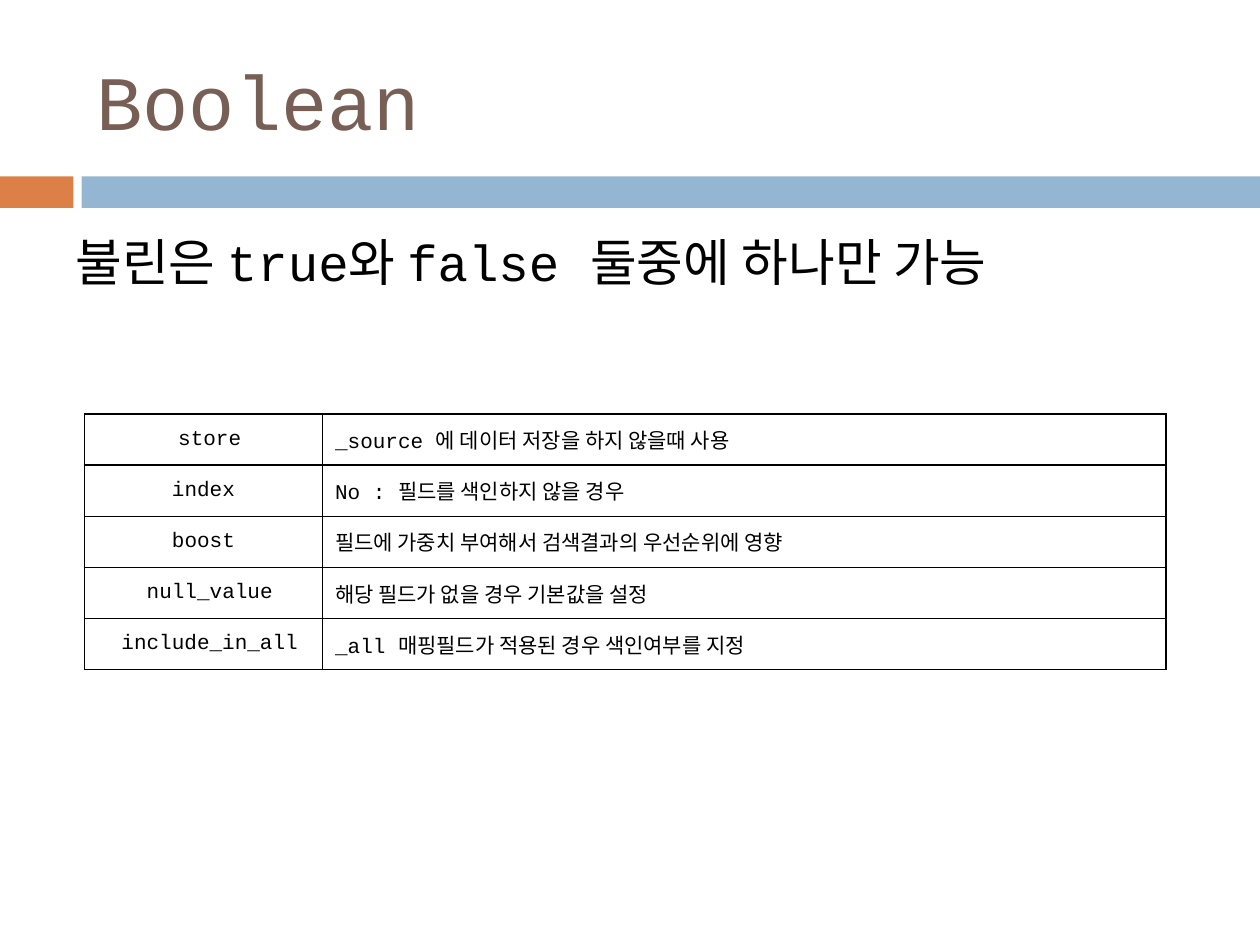
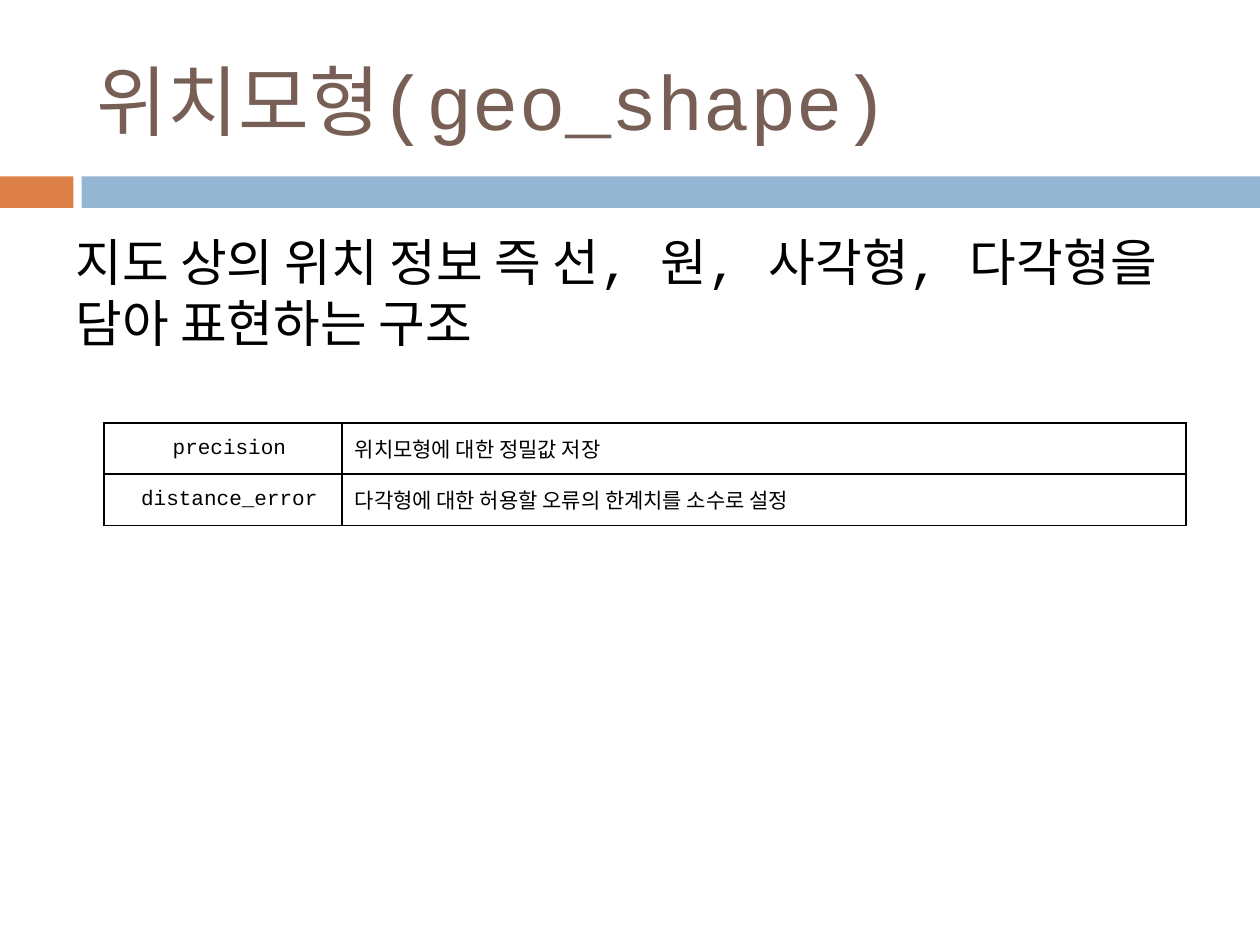
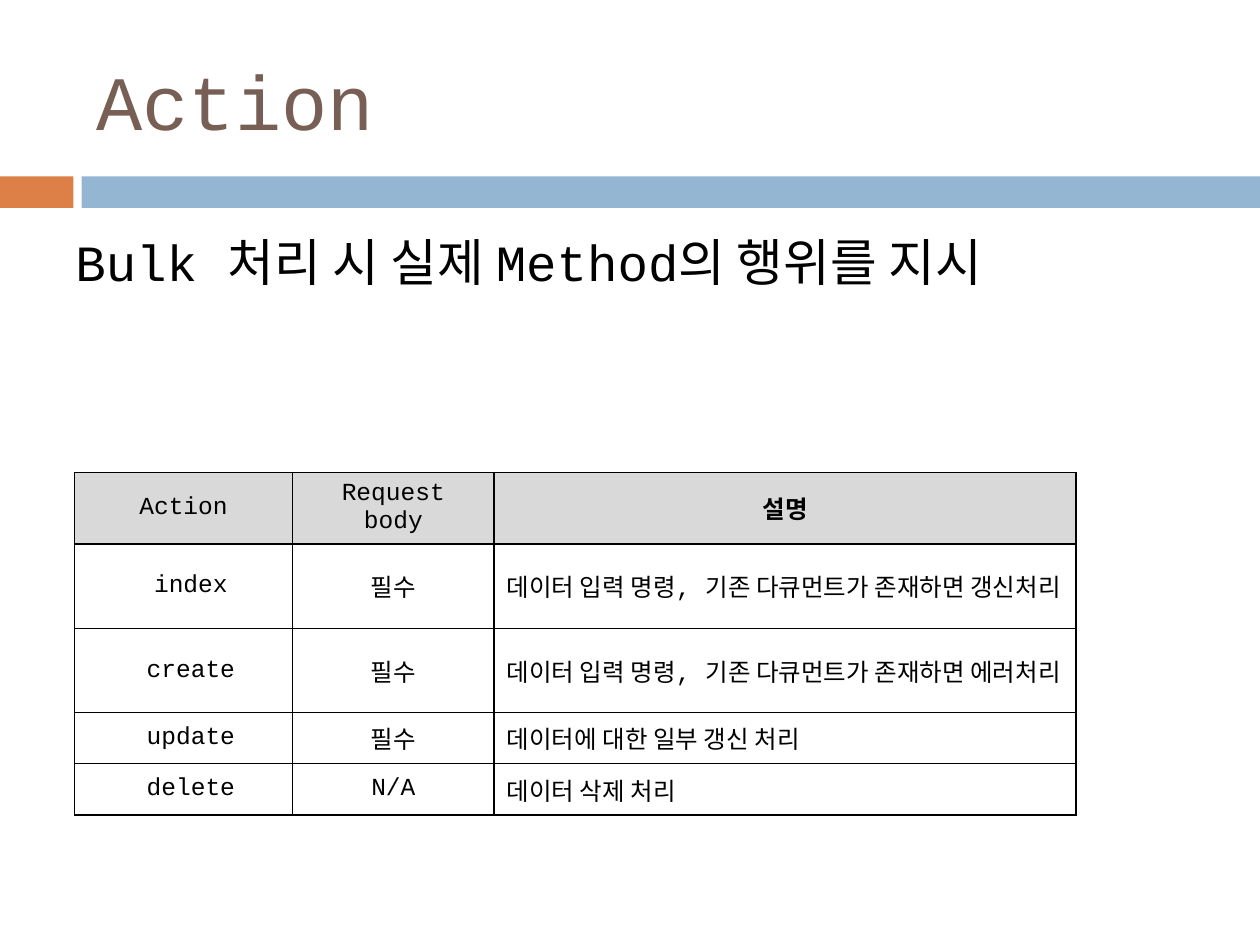
from pptx import Presentation
from pptx.dml.color import RGBColor
from pptx.enum.shapes import MSO_SHAPE
from pptx.enum.text import MSO_ANCHOR, PP_ALIGN
from pptx.oxml.ns import qn
from pptx.util import Pt
from lxml.etree import SubElement

ORANGE = RGBColor(0xDD, 0x80, 0x47)
BLUE = RGBColor(0x94, 0xB6, 0xD2)
BROWN = RGBColor(0x77, 0x5F, 0x55)
BLACK = RGBColor(0, 0, 0)
GRAY = RGBColor(0xD9, 0xD9, 0xD9)
FONT = "Courier New"
ROW = 29.2
HEAD = 39
TALL = 48.2
PAIR = (136.1, 482.1)
TRIO = (124.6, 115.2, 332.6)

BOOL = [
    (" store", "_source 에 데이터 저장을 하지 않을때 사용"),
    ("index", "No : 필드를 색인하지 않을 경우"),
    ("boost", "필드에 가중치 부여해서 검색결과의 우선순위에 영향"),
    (" null_value", "해당 필드가 없을 경우 기본값을 설정"),
    (" include_in_all", "_all 매핑필드가 적용된 경우 색인여부를 지정"),
]
GEO = [
    (" precision", "위치모형에 대한 정밀값 저장"),
    (" distance_error", "다각형에 대한 허용할 오류의 한계치를 소수로 설정"),
]
ACTION = [
    ("Action", "Request body", "설명"),
    (" index", "필수", "데이터 입력 명령, 기존 다큐먼트가 존재하면 갱신처리"),
    (" create", "필수", "데이터 입력 명령, 기존 다큐먼트가 존재하면 에러처리"),
    (" update", "필수", "데이터에 대한 일부 갱신 처리"),
    (" delete", "N/A", "데이터 삭제 처리"),
]


def add_run(para, text, size, color=BLACK, bold=False, asian=False):
    """Add one styled run to a paragraph."""
    run = para.add_run()
    run.text = text
    font = run.font
    font.size, font.name, font.bold = Pt(size), FONT, bold
    font.color.rgb = color
    if asian:
        SubElement(font._element, qn("a:ea")).set("typeface", FONT)


def place(shape, left, top, width, height):
    """Move and size a shape."""
    shape.left, shape.top = Pt(left), Pt(top)
    shape.width, shape.height = Pt(width), Pt(height)


def add_bands(slide):
    """Put the two colour bands on the layout shared by all slides."""
    layout = slide.slide_layout
    for holder in list(layout.placeholders)[1:]:
        layout.shapes.element.remove(holder.element)
    bands = []
    for left, width, color in ((0, 42, ORANGE), (46.6, 673.4, BLUE)):
        band = slide.shapes.add_shape(
            MSO_SHAPE.RECTANGLE, Pt(left), Pt(100.8), Pt(width), Pt(18))
        band.shadow.inherit = False
        band.fill.solid()
        band.fill.fore_color.rgb = color
        band.line.fill.background()
        bands.append(band)
    for band in bands:
        layout.shapes.element.append(band.element)


def add_title(slide, text):
    """Fill and style the title."""
    title = slide.shapes.title
    place(title, 48, 18, 642, 78)
    frame = title.text_frame
    frame.vertical_anchor = MSO_ANCHOR.MIDDLE
    para = frame.paragraphs[0]
    para.alignment = PP_ALIGN.LEFT
    add_run(para, text, 44, BROWN, asian=True)


def add_lead(slide, text, height):
    """Add the lead sentence below the bands."""
    box = slide.shapes.add_textbox(Pt(36), Pt(128), Pt(648), Pt(height))
    box.text_frame.word_wrap = True
    para = box.text_frame.paragraphs[0]
    para.space_before = Pt(4)
    para.line_spacing = Pt(35)
    add_run(para, text, 29)


def add_edges(cell):
    """Draw a thin black line on each side of a cell."""
    props = cell._tc.get_or_add_tcPr()
    for side in ("lnL", "lnR", "lnT", "lnB"):
        line = SubElement(props, qn(f"a:{side}"), w=str(Pt(1)))
        fill = SubElement(line, qn("a:solidFill"))
        SubElement(fill, qn("a:srgbClr"), val=str(BLACK))


def fill_cell(cell, text, size, center, head):
    """Write and style one cell."""
    add_edges(cell)
    if head:
        cell.fill.solid()
        cell.fill.fore_color.rgb = GRAY
    else:
        cell.fill.background()
    cell.vertical_anchor = MSO_ANCHOR.MIDDLE
    para = cell.text_frame.paragraphs[0]
    para.alignment = PP_ALIGN.CENTER if center else PP_ALIGN.LEFT
    add_run(para, text, size, bold=head and text == "설명")


def add_grid(slide, rows, left, top, widths, heights, size, header=False):
    """Add a table whose last column is text and the others labels."""
    table = slide.shapes.add_table(
        len(rows), len(widths), Pt(left), Pt(top),
        Pt(sum(widths)), Pt(sum(heights))).table
    table.first_row = header
    table.horz_banding = False
    for col, width in zip(table.columns, widths):
        col.width = Pt(width)
    for i, (row, height) in enumerate(zip(rows, heights)):
        table.rows[i].height = Pt(height)
        head = header and i == 0
        for j, text in enumerate(row):
            center = head or j < len(widths) - 1
            fill_cell(table.cell(i, j), text, size, center, head)


def add_page(deck, title, lead, height):
    """Add a slide with its title and lead."""
    slide = deck.slides.add_slide(deck.slide_layouts[5])
    add_title(slide, title)
    add_lead(slide, lead, height)
    return slide


def main():
    """Build the deck."""
    deck = Presentation()
    deck.slide_width, deck.slide_height = Pt(720), Pt(540)

    page = add_page(deck, "Boolean",
                    "불린은 true와 false 둘중에 하나만 가능", 158.4)
    add_bands(page)
    add_grid(page, BOOL, 48.2, 236.6, PAIR, [ROW] * len(BOOL), 12)

    page = add_page(deck, "위치모형(geo_shape)",
                    "지도 상의 위치 정보 즉 선, 원, 사각형, "
                    "다각형을 담아 표현하는 구조", 73.4)
    add_grid(page, GEO, 59.4, 241.8, PAIR, [ROW] * len(GEO), 12)

    page = add_page(deck, "Action",
                    "Bulk 처리 시 실제 Method의 행위를 지시", 73.4)
    add_grid(page, ACTION, 42.6, 270, TRIO,
             [HEAD, TALL, TALL, ROW, ROW], 14, header=True)

    deck.save("out.pptx")


if __name__ == "__main__":
    main()
